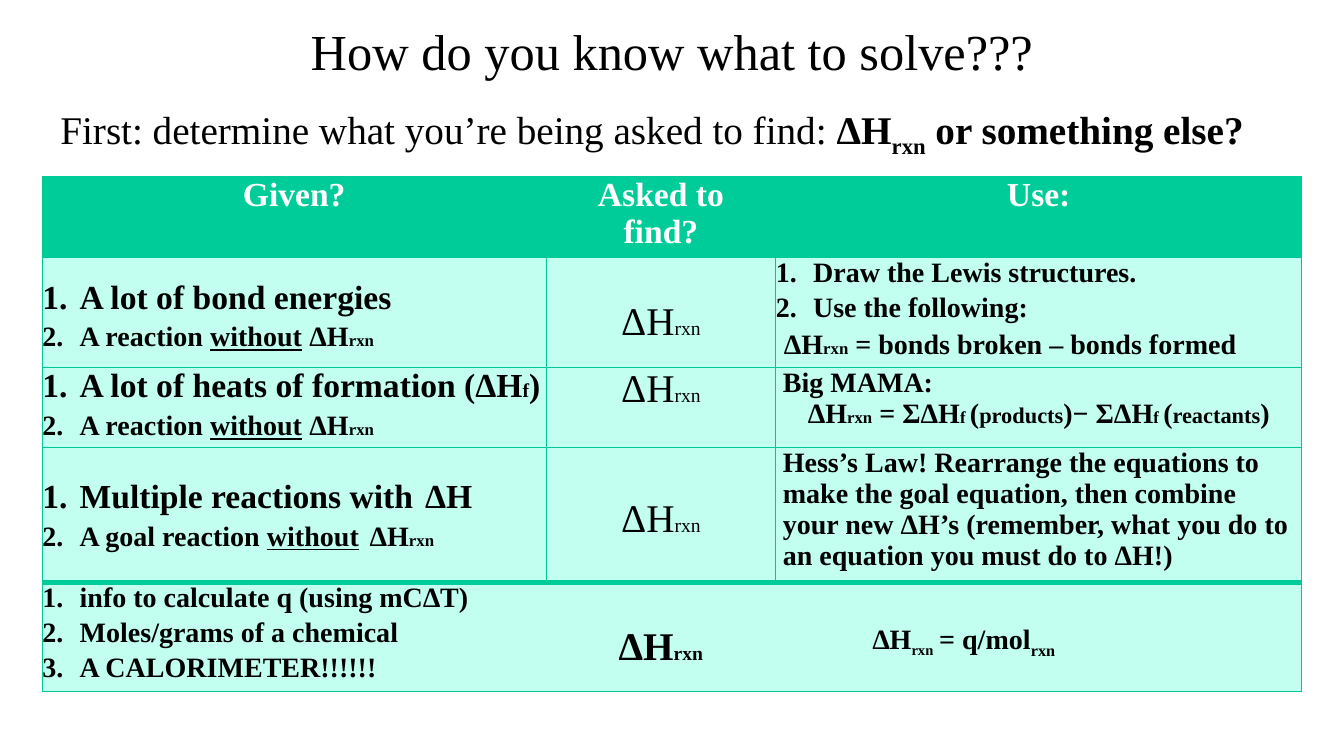
from lxml import etree
from pptx import Presentation
from pptx.dml.color import RGBColor
from pptx.enum.text import MSO_ANCHOR, PP_ALIGN
from pptx.oxml.ns import qn
from pptx.util import Inches, Pt

CENTER, LEFT = PP_ALIGN.CENTER, PP_ALIGN.LEFT
MIDDLE, TOP = MSO_ANCHOR.MIDDLE, MSO_ANCHOR.TOP
FONT = "Times New Roman"
COLORS = {"text": "000000", "head_text": "FFFFFF", "head": "00CC99",
          "cell": "C2FFF0", "grid": "00C896"}
SLIDE_W, SLIDE_H = Inches(13.33), Inches(7.5)

# Boxes as percent of the slide: left, top, width, height
TITLE_BOX = (7.5, 1.07, 85, 11.07)
LEAD_BOX = (3.75, 13.33, 92.5, 75.6)
TABLE_BOX = (3.15, 23.33, 93.7, 68)
COL_WEIGHTS = (5, 2.28, 5.22)
# Row heights as percent of the slide; rows grow with their text
ROW_HEIGHTS = (7.07, 13.2, 10, 14.67, 13.07)
HANGING = 0.37

# Run options
UNDER = {"u": "sng"}
SUB = {"baseline": "-25000"}
PLAIN = {"b": "0"}


def box_of(percent):
    left, top, width, height = percent
    return [int(v) for v in (SLIDE_W * left / 100, SLIDE_H * top / 100,
                             SLIDE_W * width / 100, SLIDE_H * height / 100)]


def add_runs(p, runs, color="text"):
    """Each run is (text, size) or (text, size, options); bold unless told otherwise."""
    for text, size, *options in runs:
        r = p.add_run()
        r.text = text
        r.font.name, r.font.size, r.font.bold = FONT, Pt(size), True
        r.font.color.rgb = RGBColor.from_string(COLORS[color])
        for name, value in (options[0] if options else {}).items():
            r.font._element.set(name, value)


def para(*runs, align=LEFT, indent=0, number=False, before=0):
    return {"runs": runs, "align": align, "indent": indent,
            "number": number, "before": before}


def item(*runs, before=0):
    return para(*runs, indent=HANGING, number=True, before=before)


def cell(*paras, top=0, side=0):
    return {"paras": paras, "top": top, "side": side}


def heading(text):
    return cell(para((text, 24), align=CENTER), side=0.13)


def delta_h(top=0, **options):
    return cell(para(("ΔH", 28, options), ("rxn", 14, options), align=CENTER), top=top)


def reaction(start, before, gap):
    return item((start, 20), ("without", 20, UNDER), (" ", 20, {"spc": gap}),
                ("ΔH", 20), ("rxn", 12), before=before)


ROWS = [
    [heading("Given?"), heading("Asked to find?"), heading("Use:")],
    [cell(item(("A lot of bond energies", 24)),
          reaction("A reaction ", 4, "20"), top=0.22),
     delta_h(0.43, **PLAIN),
     cell(item(("Draw the Lewis structures.", 20)),
          item(("Use the following:", 20), before=3),
          para(("ΔH", 20), ("rxn", 12), (" = bonds broken – bonds formed", 20),
               indent=0.08, before=4))],
    [cell(item(("A lot of heats of formation (ΔH", 24), ("f", 14), (")", 24)),
          reaction("A reaction ", 4.3, "20")),
     delta_h(**PLAIN),
     cell(para(("Big MAMA:", 20), indent=0.07),
          para(("ΔH", 20), ("rxn", 12), (" = ΣΔH", 20), ("f ", 12), ("(", 20),
               ("products", 16), (")− ΣΔH", 20), ("f ", 12), ("(", 20),
               ("reactants", 16), (")", 20), align=CENTER))],
    [cell(item(("Multiple reactions with", 24), (" ", 24, {"spc": "250"}), ("ΔH", 24)),
          reaction("A goal reaction ", 3.9, "250"), top=0.31),
     delta_h(0.49, **PLAIN),
     cell(para(("Hess’s Law! Rearrange the equations to make the goal equation, "
                "then combine your new ΔH’s (remember, what you do to an equation "
                "you must do to ΔH!)", 20)), side=0.07)],
    [cell(item(("info to calculate q (using mC∆T)", 20)),
          item(("Moles/grams of a chemical", 20), before=3),
          item(("A CALORIMETER!!!!!!", 20), before=3)),
     delta_h(0.43),
     cell(para(("∆H", 20), ("rxn", 18, SUB), (" ", 12, {"spc": "110"}),
               ("= q/mol", 20), ("rxn", 20, SUB), indent=0.96), top=0.42)],
]


def set_borders(c, widths, color):
    """widths: left, right, top, bottom in points; 0 draws no line."""
    tcPr = c._tc.get_or_add_tcPr()
    for i, (side, width) in enumerate(zip("LRTB", widths)):
        ln = etree.Element(qn(f"a:ln{side}"), w=str(Pt(width)))
        if width:
            fill = etree.SubElement(ln, qn("a:solidFill"))
            line_color = COLORS["head" if width > 1 else color]
            etree.SubElement(fill, qn("a:srgbClr"), val=line_color)
        else:
            etree.SubElement(ln, qn("a:noFill"))
        tcPr.insert(i, ln)


def fill_cell(c, content, fill, color):
    c.fill.solid()
    c.fill.fore_color.rgb = RGBColor.from_string(COLORS[fill])
    c.vertical_anchor = TOP
    c.margin_left = c.margin_right = Inches(content["side"])
    c.margin_top, c.margin_bottom = Inches(content["top"]), 0
    tf = c.text_frame
    for i, spec in enumerate(content["paras"]):
        p = tf.paragraphs[0] if i == 0 else tf.add_paragraph()
        pPr = p._p.get_or_add_pPr()
        pPr.set("marL", str(Inches(spec["indent"])))
        pPr.set("indent", str(-Inches(HANGING) if spec["number"] else 0))
        if spec["number"]:
            etree.SubElement(pPr, qn("a:buFont"), typeface=FONT)
            etree.SubElement(pPr, qn("a:buAutoNum"), type="arabicPeriod")
        p.alignment = spec["align"]
        p.space_before = Pt(spec["before"])
        add_runs(p, spec["runs"], color)


def add_title(s, box):
    sp = s.shapes.title
    sp.left, sp.top, sp.width, sp.height = box
    tf = sp.text_frame
    tf.vertical_anchor = MIDDLE
    p = tf.paragraphs[0]
    p.alignment = CENTER
    add_runs(p, [("How do you know what to solve???", 36, PLAIN)])


def add_lead(s, box):
    tf = s.shapes.add_textbox(*box).text_frame
    tf.word_wrap = True
    tf.margin_top = Inches(0.05)
    add_runs(tf.paragraphs[0], [
        ("First: determine what you’re being asked to find: ", 28, PLAIN),
        ("ΔH", 28), ("rxn", 28, SUB), (" or something else?", 28)])


def add_method_table(s, box):
    frame = s.shapes.add_table(len(ROWS), len(COL_WEIGHTS), *box)
    table = frame.table
    for column, weight in zip(table.columns, COL_WEIGHTS):
        column.width = int(box[2] * weight / sum(COL_WEIGHTS))
    for row, height in zip(table.rows, ROW_HEIGHTS):
        row.height = int(SLIDE_H * height / 100)
    frame.height = box[3]
    last_row, last_col = len(ROWS) - 1, len(COL_WEIGHTS) - 1
    for i, row in enumerate(ROWS):
        fill, color = ("head", "head_text") if i == 0 else ("cell", "text")
        inner = 0.75 if 0 < i < last_row else 0
        for j, content in enumerate(row):
            c = table.cell(i, j)
            fill_cell(c, content, fill, color)
            set_borders(c, (inner if j else 0.75, inner if j < last_col else 0.75,
                            4 if i == last_row else 0.75,
                            4 if i == last_row - 1 else 0.75), "grid")


def main():
    prs = Presentation()
    prs.slide_width, prs.slide_height = SLIDE_W, SLIDE_H
    s = prs.slides.add_slide(prs.slide_layouts[5])
    add_title(s, box_of(TITLE_BOX))
    add_lead(s, box_of(LEAD_BOX))
    add_method_table(s, box_of(TABLE_BOX))
    prs.save("out.pptx")


if __name__ == "__main__":
    main()
